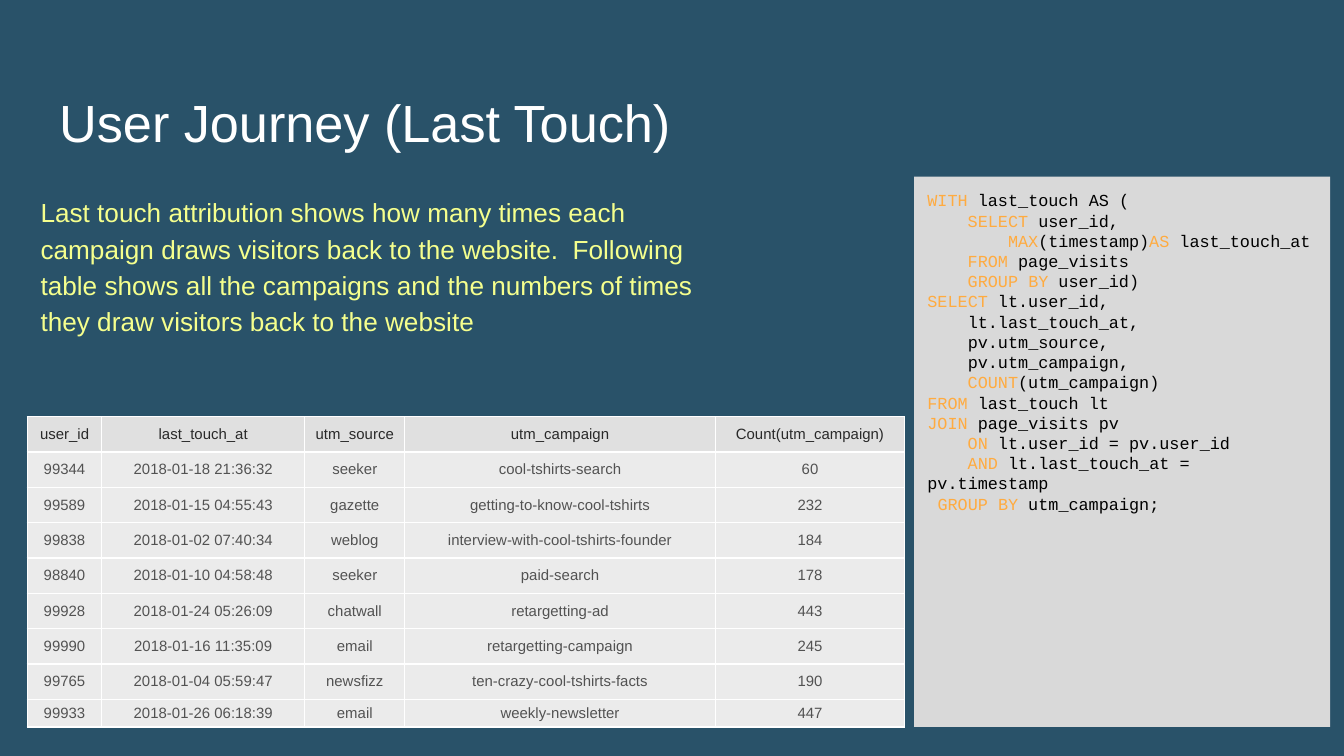
from dataclasses import dataclass

from lxml import etree
from pptx import Presentation
from pptx import util as u
from pptx.dml.color import RGBColor
from pptx.enum import shapes, text
from pptx.oxml.ns import qn

SLIDE_WIDTH = u.Inches(10)
SLIDE_HEIGHT = SLIDE_WIDTH * 9 // 16
UNIT = SLIDE_WIDTH // 100  # one square of the layout grid


@dataclass(frozen=True)
class Theme:
    background: str = "295269"
    title: str = "FFFFFF"
    summary: str = "F5FF8D"
    panel: str = "D9D9D9"
    code: str = "000000"
    keyword: str = "FFAB40"
    header_fill: str = "E0E0E0"
    header_text: str = "292929"
    body_fill: str = "EBEBEB"
    body_text: str = "525252"
    border: str = "FFFFFF"
    sans: str = "Arial"
    mono: str = "Courier New"
    title_size: float = 28
    summary_size: float = 14
    code_size: float = 9
    table_size: float = 8
    border_width: float = 0.75


@dataclass(frozen=True)
class Area:
    """A rectangle in grid units."""
    column: float
    row: float
    columns: float
    rows: float

    def box(self) -> tuple[int, ...]:
        return tuple(grid(value) for value in
                     (self.column, self.row, self.columns, self.rows))


THEME = Theme()
TITLE_AREA = Area(3.4, 3.2, 93.2, 9.2)
SUMMARY_AREA = Area(2.03, 13.3, 53.8, 11.9)
CODE_AREA = Area(68.02, 13.14, 30.95, 40.95)
TABLE_AREA = Area(2.03, 31, 65.3, 23.1)
COLUMN_WIDTHS = (5.55, 15.1, 7.45, 23.1, 14.1)
ROW_HEIGHT = 2.63

SUMMARY = ("Last touch attribution shows how many times each campaign draws "
           "visitors back to the website.  Following table shows all the "
           "campaigns and the numbers of times they draw visitors back to "
           "the website")

# Keywords to highlight stand between bars
QUERY = """|WITH| last_touch AS (
    |SELECT| user_id,
        |MAX|(timestamp)|AS| last_touch_at
    |FROM| page_visits
    |GROUP BY| user_id)
|SELECT| lt.user_id,
    lt.last_touch_at,
    pv.utm_source,
    pv.utm_campaign,
    |COUNT|(utm_campaign)
|FROM| last_touch lt
|JOIN| page_visits pv
    |ON| lt.user_id = pv.user_id
    |AND| lt.last_touch_at = pv.timestamp
 |GROUP BY| utm_campaign;"""

VISITS = (
    ("user_id", "last_touch_at", "utm_source", "utm_campaign", "Count(utm_campaign)"),
    ("99344", "2018-01-18 21:36:32", "seeker", "cool-tshirts-search", "60"),
    ("99589", "2018-01-15 04:55:43", "gazette", "getting-to-know-cool-tshirts", "232"),
    ("99838", "2018-01-02 07:40:34", "weblog", "interview-with-cool-tshirts-founder", "184"),
    ("98840", "2018-01-10 04:58:48", "seeker", "paid-search", "178"),
    ("99928", "2018-01-24 05:26:09", "chatwall", "retargetting-ad", "443"),
    ("99990", "2018-01-16 11:35:09", "email", "retargetting-campaign", "245"),
    ("99765", "2018-01-04 05:59:47", "newsfizz", "ten-crazy-cool-tshirts-facts", "190"),
    ("99933", "2018-01-26 06:18:39", "email", "weekly-newsletter", "447"),
)


def grid(units: float) -> int:
    return round(units * UNIT)


def style_run(run, font: str, size: float, color: str) -> None:
    run.font.name = font
    run.font.size = u.Pt(size)
    run.font.color.rgb = RGBColor.from_string(color)


def prepare_frame(frame, anchor) -> None:
    frame.word_wrap = True
    frame.auto_size = text.MSO_AUTO_SIZE.NONE
    frame.vertical_anchor = anchor
    frame.margin_left = frame.margin_right = grid(1)
    frame.margin_top = frame.margin_bottom = grid(1)


def add_title(slide, wording: str) -> None:
    title = slide.shapes.title
    title.left, title.top, title.width, title.height = TITLE_AREA.box()
    prepare_frame(title.text_frame, text.MSO_ANCHOR.BOTTOM)
    title.text_frame.text = wording
    paragraph = title.text_frame.paragraphs[0]
    paragraph.alignment = text.PP_ALIGN.LEFT
    style_run(paragraph.runs[0], THEME.sans, THEME.title_size, THEME.title)


def add_summary(slide) -> None:
    frame = slide.shapes.add_textbox(*SUMMARY_AREA.box()).text_frame
    prepare_frame(frame, text.MSO_ANCHOR.TOP)
    frame.text = SUMMARY
    paragraph = frame.paragraphs[0]
    paragraph.line_spacing = 1.15
    style_run(paragraph.runs[0], THEME.sans, THEME.summary_size, THEME.summary)


def add_code_panel(slide) -> None:
    panel = slide.shapes.add_shape(shapes.MSO_SHAPE.RECTANGLE, *CODE_AREA.box())
    panel.shadow.inherit = False
    panel.fill.solid()
    panel.fill.fore_color.rgb = RGBColor.from_string(THEME.panel)
    panel.line.fill.background()
    frame = panel.text_frame
    prepare_frame(frame, text.MSO_ANCHOR.TOP)
    frame.text = QUERY.replace("|", "")
    for paragraph, line in zip(frame.paragraphs, QUERY.split("\n")):
        paragraph.text = ""
        paragraph.alignment = text.PP_ALIGN.LEFT
        for index, part in enumerate(line.split("|")):
            if part:
                run = paragraph.add_run()
                run.text = part
                color = THEME.keyword if index % 2 else THEME.code
                style_run(run, THEME.mono, THEME.code_size, color)


def add_borders(cell) -> None:
    properties = cell._tc.get_or_add_tcPr()
    for position, side in enumerate(("a:lnL", "a:lnR", "a:lnT", "a:lnB")):
        line = etree.Element(qn(side), w=str(u.Pt(THEME.border_width)))
        fill = etree.SubElement(line, qn("a:solidFill"))
        etree.SubElement(fill, qn("a:srgbClr"), val=THEME.border)
        properties.insert(position, line)


def fill_cell(cell, wording: str, fill: str, color: str) -> None:
    cell.fill.solid()
    cell.fill.fore_color.rgb = RGBColor.from_string(fill)
    add_borders(cell)
    cell.vertical_anchor = text.MSO_ANCHOR.MIDDLE
    cell.margin_left = cell.margin_right = grid(0.7)
    cell.margin_top = cell.margin_bottom = grid(0.4)
    cell.text_frame.text = wording
    paragraph = cell.text_frame.paragraphs[0]
    paragraph.alignment = text.PP_ALIGN.CENTER
    style_run(paragraph.runs[0], THEME.sans, THEME.table_size, color)


def add_visits_table(slide) -> None:
    table = slide.shapes.add_table(
        len(VISITS), len(COLUMN_WIDTHS), *TABLE_AREA.box()).table
    for column, width in zip(table.columns, COLUMN_WIDTHS):
        column.width = grid(width)
    # Equal rows, and the last one takes what is left
    for row in table.rows:
        row.height = grid(ROW_HEIGHT)
    row.height = grid(TABLE_AREA.rows - ROW_HEIGHT * (len(VISITS) - 1))
    for row_index, record in enumerate(VISITS):
        colors = ((THEME.body_fill, THEME.body_text) if row_index
                  else (THEME.header_fill, THEME.header_text))
        for column_index, wording in enumerate(record):
            fill_cell(table.cell(row_index, column_index), wording, *colors)


def main() -> None:
    presentation = Presentation()
    presentation.slide_width, presentation.slide_height = SLIDE_WIDTH, SLIDE_HEIGHT
    slide = presentation.slides.add_slide(presentation.slide_layouts[5])
    slide.background.fill.solid()
    slide.background.fill.fore_color.rgb = RGBColor.from_string(THEME.background)
    add_title(slide, "User Journey (Last Touch)")
    add_code_panel(slide)
    add_summary(slide)
    add_visits_table(slide)
    presentation.save("out.pptx")


if __name__ == "__main__":
    main()
